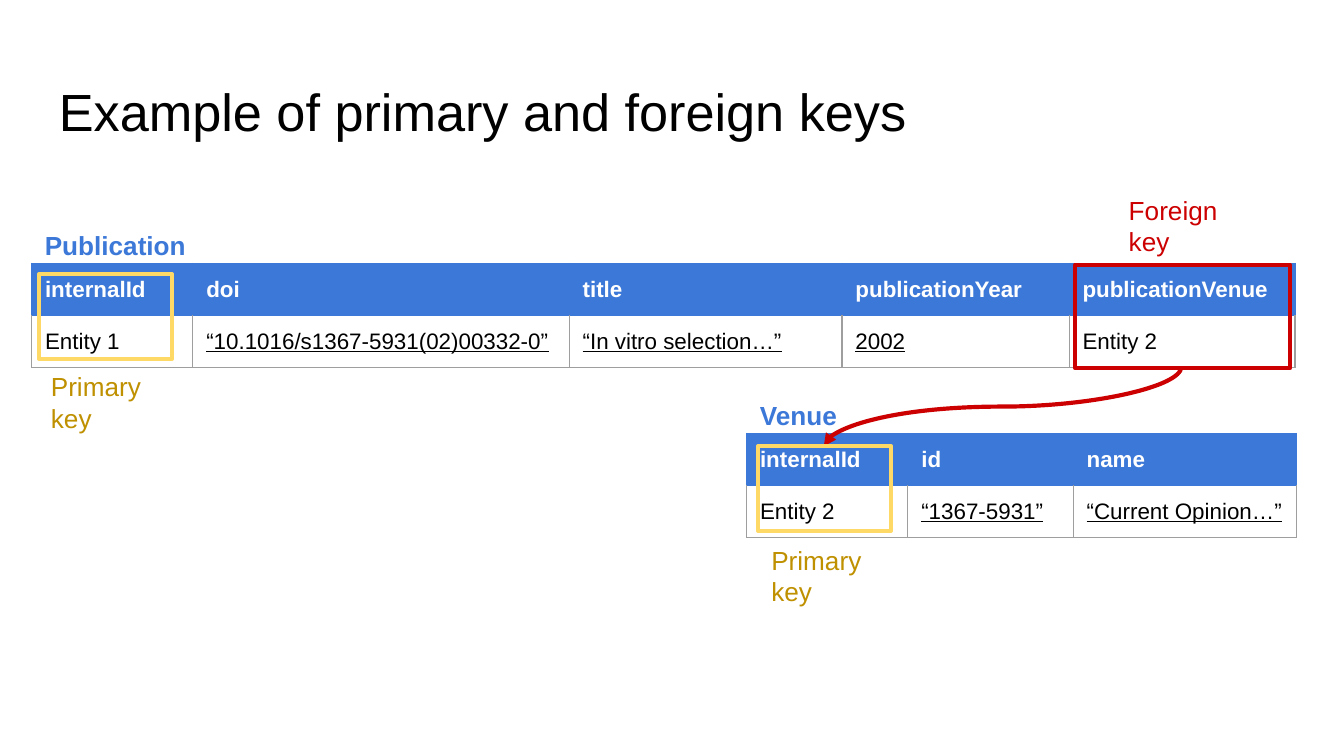
import pptx
import pptx.util
import pptx.dml.color
import pptx.enum.shapes
import pptx.enum.text
import pptx.oxml
import pptx.oxml.ns
import lxml.etree

RGBColor = pptx.dml.color.RGBColor
BLACK = RGBColor(0x00, 0x00, 0x00)
WHITE = RGBColor(0xFF, 0xFF, 0xFF)
BLUE = RGBColor(0x3C, 0x78, 0xD8)
GREY = RGBColor(0x9E, 0x9E, 0x9E)
YELLOW = RGBColor(0xFF, 0xD9, 0x66)
GOLD = RGBColor(0xBF, 0x90, 0x00)
RED = RGBColor(0xCC, 0x00, 0x00)

FONT = "Arial"
SLIDE_WIDTH = pptx.util.Inches(10)
SLIDE_HEIGHT = SLIDE_WIDTH * 9 // 16
COLUMN = SLIDE_WIDTH / 100
ROW = SLIDE_HEIGHT / 56.25
PADDING = int(COLUMN)
ROW_HEIGHTS = (2.6, 3.2)
MARK_LINE = pptx.util.Pt(2.25)


def columns(count):
    return round(count * COLUMN)


def rows(count):
    return round(count * ROW)


def place(box):
    left, top, width, height = box
    return columns(left), rows(top), columns(width), rows(height)


def format_text(text_frame, size, color, bold=False, underline=False):
    for para in text_frame.paragraphs:
        for span in para.runs:
            span.font.name = FONT
            span.font.size = pptx.util.Pt(size)
            span.font.bold = bold
            span.font.underline = underline
            span.font.color.rgb = color


def add_text(slide, box, text, size, color, bold=False):
    text_frame = slide.shapes.add_textbox(*place(box)).text_frame
    text_frame.word_wrap = True
    text_frame.auto_size = pptx.enum.text.MSO_AUTO_SIZE.NONE
    text_frame.margin_left = text_frame.margin_right = PADDING
    text_frame.margin_top = text_frame.margin_bottom = PADDING
    text_frame.text = text
    format_text(text_frame, size, color, bold)


def set_borders(cell, top, other):
    properties = cell._tc.get_or_add_tcPr()
    sides = (("lnL", other), ("lnR", other), ("lnT", top), ("lnB", other))
    for position, (side, color) in enumerate(sides):
        border = pptx.oxml.parse_xml(
            f'<a:{side} {pptx.oxml.ns.nsdecls("a")} w="{pptx.util.Pt(0.75)}">'
            f'<a:solidFill><a:srgbClr val="{color}"/></a:solidFill></a:{side}>'
        )
        properties.insert(position, border)


def draw_entity(slide, box, name, fields):
    left, top, width, height = box
    frame = slide.shapes.add_table(2, len(fields), *place(box))
    table = frame.table
    table.first_row = table.horz_banding = False
    for row, row_height in zip(table.rows, ROW_HEIGHTS):
        row.height = rows(row_height)
    for index, (field, value, share) in enumerate(fields):
        table.columns[index].width = columns(share)
        header, body = table.cell(0, index), table.cell(1, index)
        for cell, text in ((header, field), (body, value)):
            cell.margin_left = cell.margin_right = PADDING
            cell.margin_top = cell.margin_bottom = PADDING
            cell.text = text
        header.fill.solid()
        header.fill.fore_color.rgb = BLUE
        body.fill.background()
        format_text(header.text_frame, 12, WHITE, bold=True)
        is_key = value.startswith("Entity")
        format_text(body.text_frame, 12, BLACK, underline=not is_key)
        set_borders(header, BLUE, BLUE)
        set_borders(body, BLUE, GREY)
    add_text(slide, (left, top - 3.55, 13.3, 4.4), name, 14, BLUE, bold=True)


def draw_key(slide, box, caption_box, caption, line_color, text_color):
    mark = slide.shapes.add_shape(
        pptx.enum.shapes.MSO_SHAPE.RECTANGLE, *place(box)
    )
    mark.shadow.inherit = False
    mark.fill.background()
    mark.line.color.rgb = line_color
    mark.line.width = MARK_LINE
    add_text(slide, caption_box, caption, 14, text_color)


def draw_reference(slide, box):
    left, top, width, height = box
    middle_x, middle_y = left + width / 2, top + height / 2
    arrow = slide.shapes.add_connector(
        pptx.enum.shapes.MSO_CONNECTOR.CURVE,
        columns(middle_x - height / 2), rows(middle_y - width / 2),
        columns(middle_x + height / 2), rows(middle_y + width / 2),
    )
    arrow.line.color.rgb = RED
    arrow.line.width = MARK_LINE
    properties = arrow._element.spPr
    properties.find(pptx.oxml.ns.qn("a:xfrm")).set("rot", str(270 * 60000))
    line = properties.find(pptx.oxml.ns.qn("a:ln"))
    head = lxml.etree.SubElement(line, pptx.oxml.ns.qn("a:headEnd"))
    head.set("type", "triangle")
    lxml.etree.SubElement(properties, pptx.oxml.ns.qn("a:effectLst"))


def main():
    deck = pptx.Presentation()
    deck.slide_width, deck.slide_height = SLIDE_WIDTH, SLIDE_HEIGHT
    slide = deck.slides.add_slide(deck.slide_layouts[6])

    add_text(slide, (3.4, 4.9, 93.2, 6.3),
             "Example of primary and foreign keys", 28, BLACK)
    draw_entity(slide, (2.35, 19.6, 94, 5.8), "Publication", (
        ("internalId", "Entity 1", 12),
        ("doi", "“10.1016/s1367-5931(02)00332-0”", 28),
        ("title", "“In vitro selection…”", 20.3),
        ("publicationYear", "2002", 16.9),
        ("publicationVenue", "Entity 2", 16.8),
    ))
    draw_entity(slide, (55.55, 32.25, 40.9, 5.8), "Venue", (
        ("internalId", "Entity 2", 12),
        ("id", "“1367-5931”", 12.3),
        ("name", "“Current Opinion…”", 16.6),
    ))
    draw_reference(slide, (61.3, 27.3, 26.6, 5.9))
    draw_key(slide, (2.9, 20.4, 9.9, 6.3), (2.8, 26.6, 9.9, 6.7),
             "Primary key", YELLOW, GOLD)
    draw_key(slide, (56.4, 33.2, 9.9, 6.3), (56.4, 39.5, 9.9, 6.7),
             "Primary key", YELLOW, GOLD)
    draw_key(slide, (80, 19.7, 16, 7.7), (83, 13.45, 9.9, 6.7),
             "Foreign key", RED, RED)

    deck.save("out.pptx")


if __name__ == "__main__":
    main()
